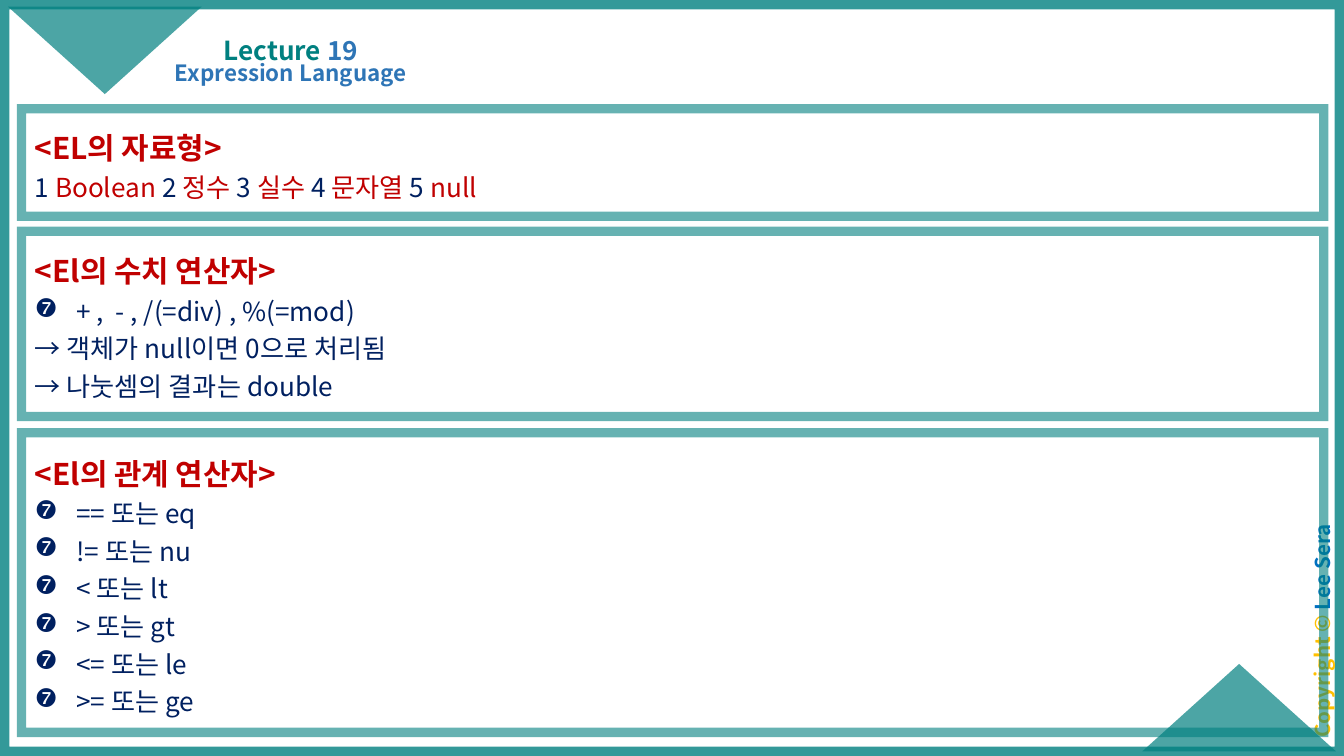
from lxml import etree
from pptx import Presentation
from pptx.dml.color import RGBColor
from pptx.enum import shapes, text
from pptx.oxml.ns import qn
from pptx.util import Inches, Pt

FONT = "Noto Sans CJK KR"
TEAL = RGBColor(0x00, 0x80, 0x80)
BLUE = RGBColor(0x2E, 0x75, 0xB6)
SKY = RGBColor(0x00, 0x70, 0xC0)
GOLD = RGBColor(0xFF, 0xC0, 0x00)
RED = RGBColor(0xC0, 0x00, 0x00)
NAVY = RGBColor(0x00, 0x20, 0x60)

PAGE_WIDTH = 10
PAGE_HEIGHT = PAGE_WIDTH * 9 / 16
BULLET, BULLET_FONT = "→", "Wingdings"
INDENT = Inches(0.31)
PANEL_LEFT, PANEL_WIDTH = 0.16, 9.69

TYPES = [("1 ", NAVY), ("Boolean ", RED), ("2 ", NAVY), ("정수", RED), (" 3 ", NAVY),
         ("실수", RED), (" 4 ", NAVY), ("문자열", RED), (" 5 ", NAVY), ("null", RED)]
RELATIONS = [("==", "eq"), ("!=", "nu"), ("<", "lt"), (">", "gt"), ("<=", "le"), (">=", "ge")]

PANELS = [
    (0.81, 0.8, "<EL의 자료형>", [(TYPES, False)]),
    (1.72, 1.38, "<El의 수치 연산자>", [
        ([("+ ,  - , /(=div) , %(=mod)", NAVY)], True),
        ([("→ 객체가 null이면 0으로 처리됨", NAVY)], False),
        ([("→ 나눗셈의 결과는 double", NAVY)], False)]),
    (3.22, 2.23, "<El의 관계 연산자>", [
        ([(f"{sign} 또는 {word}", NAVY)], True) for sign, word in RELATIONS]),
]


def place(shape, left, top, width, height):
    shape.left, shape.top = Inches(left), Inches(top)
    shape.width, shape.height = Inches(width), Inches(height)


def set_alpha(fill_parent, percent):
    color = fill_parent.find(".//" + qn("a:srgbClr"))
    etree.SubElement(color, qn("a:alpha"), val=str(percent * 1000))


def write_spans(para, spans, size, bold):
    for words, color in spans:
        span = para.add_run()
        span.text = words
        span.font.size = Pt(size)
        span.font.bold = bold
        span.font.color.rgb = color
        span.font.name = FONT
        latin = span.font._element.find(qn("a:latin"))
        latin.addnext(etree.Element(qn("a:ea"), typeface=FONT))


def add_bullet(para):
    props = para._p.get_or_add_pPr()
    props.set("marL", str(INDENT))
    props.set("indent", str(-INDENT))
    etree.SubElement(props, qn("a:buFont"), typeface=BULLET_FONT)
    etree.SubElement(props, qn("a:buChar"), char=BULLET)


def write_label(box, spans, size, before, anchor):
    frame = box.text_frame
    frame.word_wrap = True
    frame.auto_size = text.MSO_AUTO_SIZE.NONE
    frame.vertical_anchor = anchor
    frame.margin_left = frame.margin_right = Inches(0.07)
    frame.margin_top = frame.margin_bottom = Inches(0.04)
    para = frame.paragraphs[0]
    para.alignment = text.PP_ALIGN.CENTER
    para.line_spacing = 0.9
    para.space_before = Pt(before)
    write_spans(para, spans, size, True)


def add_outline(page, left, top, width, height, weight, opacity):
    box = page.shapes.add_shape(shapes.MSO_SHAPE.RECTANGLE, Inches(left), Inches(top),
                                Inches(width), Inches(height))
    box.shadow.inherit = False
    box.fill.background()
    box.line.color.rgb = TEAL
    box.line.width = Pt(weight)
    set_alpha(box.line._ln, opacity)
    etree.SubElement(box.line._ln, qn("a:miter"), lim="800000")
    return box


def add_corner(page, left, top, rotation=0):
    corner = page.shapes.add_shape(shapes.MSO_SHAPE.ISOSCELES_TRIANGLE, Inches(left),
                                   Inches(top), Inches(1.44), Inches(0.65))
    corner.rotation = rotation
    corner.shadow.inherit = False
    corner.fill.solid()
    corner.fill.fore_color.rgb = TEAL
    set_alpha(corner._element.spPr, 70)
    corner.line.fill.background()


def add_heading(page, left, top):
    title, subtitle = page.shapes.title, page.placeholders[1]
    place(title, left + 0.3, top, 1.53, 0.47)
    write_label(title, [("Lecture ", TEAL), ("19", BLUE)], 14, 0, text.MSO_ANCHOR.BOTTOM)
    place(subtitle, left, top + 0.36, 2.13, 0.34)
    write_label(subtitle, [("Expression Language", BLUE)], 12, 7.5, text.MSO_ANCHOR.TOP)


def add_copyright(page, left, top, width, height):
    box = page.shapes.add_textbox(Inches(left), Inches(top), Inches(width), Inches(height))
    box.rotation = 270
    write_label(box, [("Copyright © ", GOLD), ("Lee Sera", SKY)], 11, 10, text.MSO_ANCHOR.TOP)


def add_panel(page, top, height, heading, lines):
    box = add_outline(page, PANEL_LEFT, top, PANEL_WIDTH, height, 5, 60)
    frame = box.text_frame
    frame.word_wrap = True
    frame.vertical_anchor = text.MSO_ANCHOR.MIDDLE
    rows = [([(heading, RED)], False)] + lines
    for number, (spans, bulleted) in enumerate(rows):
        para = frame.add_paragraph() if number else frame.paragraphs[0]
        para.alignment = text.PP_ALIGN.LEFT
        para.line_spacing = 1.2
        if bulleted:
            add_bullet(para)
        write_spans(para, spans, 14 if number else 16, number == 0)


def main():
    deck = Presentation()
    deck.slide_width, deck.slide_height = Inches(PAGE_WIDTH), Inches(PAGE_HEIGHT)
    page = deck.slides.add_slide(deck.slide_layouts[0])
    add_outline(page, 0, 0, PAGE_WIDTH, PAGE_HEIGHT, 10, 80)
    add_corner(page, 8.5, 4.94)
    add_corner(page, 0.06, 0.05, 180)
    add_copyright(page, 8.92, 4.57, 1.86, 0.25)
    add_heading(page, 1.1, 0.06)
    for panel in PANELS:
        add_panel(page, *panel)
    deck.save("out.pptx")


if __name__ == "__main__":
    main()
